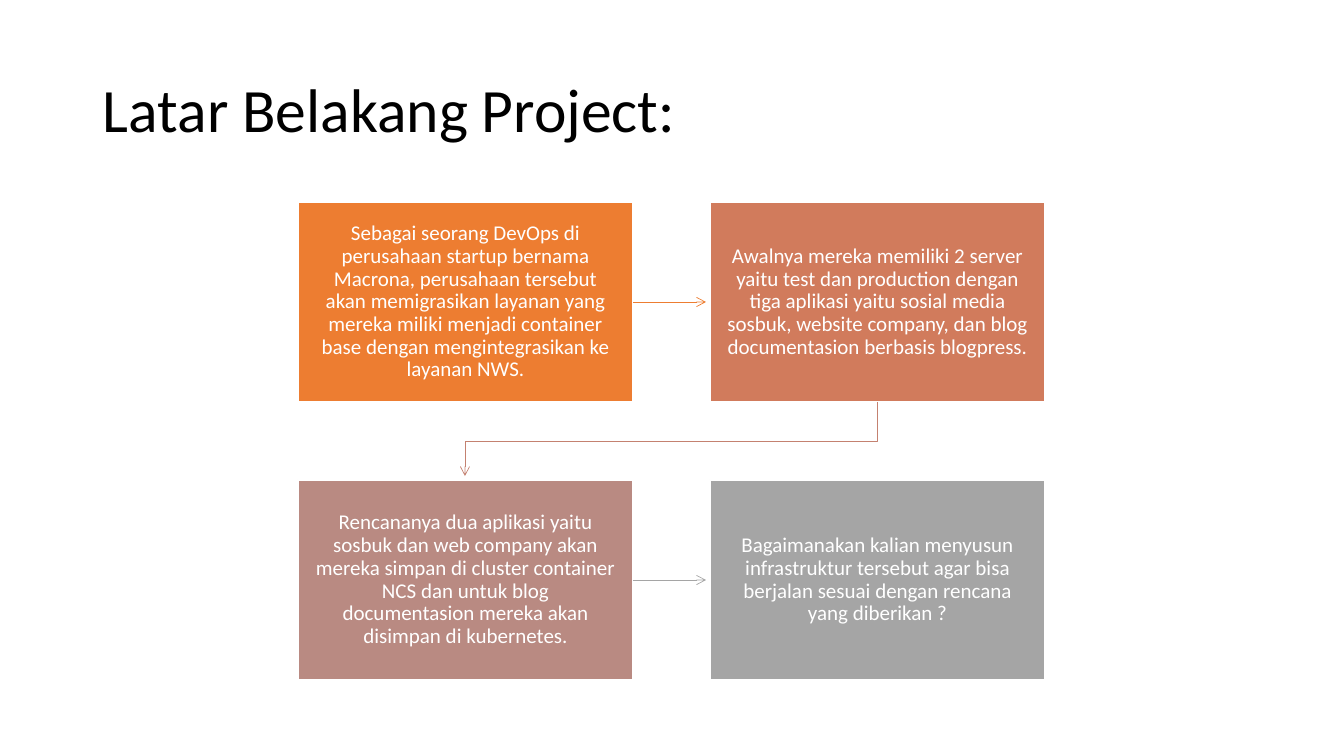
from dataclasses import dataclass

import lxml.etree
import pptx
import pptx.dml.color
import pptx.enum.shapes
import pptx.enum.text
import pptx.oxml.ns
import pptx.util

SLIDE_W, SLIDE_H = 1344, 756
EMU_PER_PX = 914400 / 100.8


@dataclass(frozen=True)
class Theme:
    font: str = "Calibri"
    title_size: int = 44
    body_size: int = 15
    ink: str = "000000"
    paper: str = "FFFFFF"
    steps: tuple = ("ED7D31", "D17B5C", "B98A82", "A5A5A5")
    turn: str = "C48170"


def px(length):
    return pptx.util.Emu(round(length * EMU_PER_PX))


def rgb(value):
    return pptx.dml.color.RGBColor.from_string(value)


class FlowSlide:
    def __init__(self, deck, theme):
        self.theme = theme
        self.slide = deck.slides.add_slide(deck.slide_layouts[6])
        self.shapes = self.slide.shapes

    def set_words(self, shape, words, size, color, align, insets):
        frame = shape.text_frame
        frame.word_wrap = True
        frame.vertical_anchor = pptx.enum.text.MSO_ANCHOR.MIDDLE
        frame.margin_left = frame.margin_right = px(insets[0])
        frame.margin_top = frame.margin_bottom = px(insets[1])
        paragraph = frame.paragraphs[0]
        paragraph.alignment = align
        paragraph.line_spacing = 0.9
        run = paragraph.add_run()
        run.text = words
        run.font.name = self.theme.font
        run.font.size = pptx.util.Pt(size)
        run.font.color.rgb = rgb(color)

    def title(self, words, left, top, width, height):
        heading = self.shapes.add_textbox(px(left), px(top), px(width), px(height))
        self.set_words(heading, words, self.theme.title_size, self.theme.ink,
                       pptx.enum.text.PP_ALIGN.LEFT, (10, 5))

    def step(self, words, color, left, top, width, height):
        box = self.shapes.add_shape(pptx.enum.shapes.MSO_SHAPE.RECTANGLE,
                                    px(left), px(top), px(width), px(height))
        box.shadow.inherit = False
        box.fill.solid()
        box.fill.fore_color.rgb = rgb(color)
        box.line.color.rgb = rgb(self.theme.paper)
        box.line.width = pptx.util.Pt(1)
        self.set_words(box, words, self.theme.body_size, self.theme.paper,
                       pptx.enum.text.PP_ALIGN.CENTER, (16, 17))
        return box

    def point(self, arrow, color):
        arrow.line.color.rgb = rgb(color)
        arrow.line.width = pptx.util.Pt(0.5)
        qn = pptx.oxml.ns.qn
        outline = arrow._element.spPr.find(qn("a:ln"))
        lxml.etree.SubElement(outline, qn("a:tailEnd"), type="arrow")

    def arrow(self, source, color, start, end):
        arrow = self.shapes.add_connector(
            pptx.enum.shapes.MSO_CONNECTOR.STRAIGHT, *map(px, start + end))
        arrow.begin_connect(source, 3)
        self.point(arrow, color)
        lxml.etree.SubElement(arrow._element.spPr, pptx.oxml.ns.qn("a:effectLst"))

    def bent_arrow(self, color, start, *corners):
        builder = self.shapes.build_freeform(*start, scale=EMU_PER_PX)
        builder.add_line_segments(corners, close=False)
        turn = builder.convert_to_shape()
        turn.shadow.inherit = False
        turn.fill.background()
        self.point(turn, color)


STORY = (
    "Sebagai seorang DevOps di perusahaan startup bernama Macrona, perusahaan tersebut "
    "akan memigrasikan layanan yang mereka miliki menjadi container base dengan "
    "mengintegrasikan ke layanan NWS.",
    "Awalnya mereka memiliki 2 server yaitu test dan production dengan tiga aplikasi "
    "yaitu sosial media sosbuk, website company, dan blog documentasion berbasis "
    "blogpress.",
    "Rencananya dua aplikasi yaitu sosbuk dan web company akan mereka simpan di cluster "
    "container NCS dan untuk blog documentasion mereka akan disimpan di kubernetes.",
    "Bagaimanakan kalian menyusun infrastruktur tersebut agar bisa berjalan sesuai "
    "dengan rencana yang diberikan ?",
)
LEFT, TOP = 298, 202
BOX_W, BOX_H = 335, 200
STEP_X, STEP_Y = 412, 278
TIP_GAP = 4


def main():
    deck = pptx.Presentation()
    deck.slide_width, deck.slide_height = px(SLIDE_W), px(SLIDE_H)
    theme = Theme()
    page = FlowSlide(deck, theme)
    page.title("Latar Belakang Project:", 93, 40, 1159, 146)

    boxes = []
    for index, (words, color) in enumerate(zip(STORY, theme.steps)):
        row, column = divmod(index, 2)
        boxes.append(page.step(words, color, LEFT + column * STEP_X,
                               TOP + row * STEP_Y, BOX_W, BOX_H))

    for row, color in enumerate((theme.steps[0], theme.steps[3])):
        middle = TOP + row * STEP_Y + BOX_H // 2
        page.arrow(boxes[2 * row], color, (LEFT + BOX_W, middle),
                   (LEFT + STEP_X - TIP_GAP, middle))

    first_center = LEFT + BOX_W // 2
    second_center = first_center + STEP_X
    bottom, next_top = TOP + BOX_H, TOP + STEP_Y
    halfway = (bottom + next_top) // 2
    page.bent_arrow(theme.turn, (second_center, bottom), (second_center, halfway),
                    (first_center, halfway), (first_center, next_top - TIP_GAP))
    deck.save("out.pptx")


if __name__ == "__main__":
    main()
